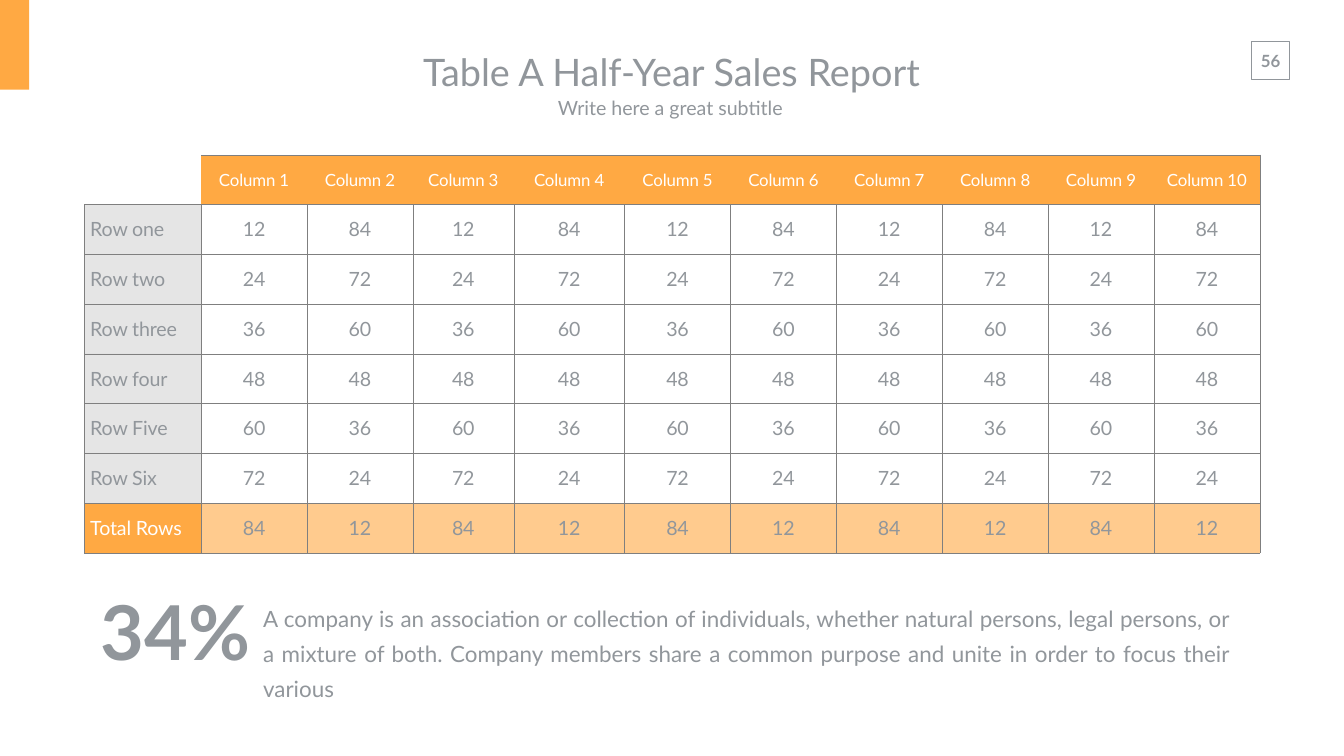
from dataclasses import dataclass

from lxml import etree
from pptx import Presentation
from pptx.dml.color import RGBColor
from pptx.enum import shapes, text
from pptx.oxml.ns import qn
from pptx.util import Emu, Pt

PX = 9144  # 100 px to the inch
FONT = "Lato"
GREY, ORANGE, PALE_ORANGE = "91969B", "FFA943", "FFCB8E"
WHITE, SHADE, GRID = "FFFFFF", "555555", "7F7F7F"
CENTER = text.PP_ALIGN.CENTER
MIDDLE = text.MSO_ANCHOR.MIDDLE


@dataclass
class Area:
    left: int
    top: int
    width: int
    height: int

    def emu(self) -> list[Emu]:
        return [Emu(n * PX) for n in (self.left, self.top, self.width, self.height)]


@dataclass
class CellStyle:
    color: str = GREY
    size: int = 28
    align: text.PP_ALIGN = CENTER
    fill: str | None = None
    alpha: int = 100
    borders: str = "LRTB"


def rgb(value: str) -> RGBColor:
    return RGBColor.from_string(value)


def add_alpha(color_element, percent: int) -> None:
    etree.SubElement(color_element, qn("a:alpha")).set("val", str(percent * 1000))


def write(frame, words: str, *, size: int, color: str = GREY, bold: bool = False,
          align=text.PP_ALIGN.LEFT, line_spacing=None, tracking: int = 0) -> None:
    para = frame.paragraphs[0]
    para.alignment = align
    if line_spacing:
        para.line_spacing = line_spacing
    span = para.add_run()
    span.text = words
    span.font.name, span.font.size, span.font.bold = FONT, Pt(size), bold
    span.font.color.rgb = rgb(color)
    if tracking:
        span.font._element.set("spc", str(tracking))


def add_text(page, area: Area, words: str, *, inset: tuple[int, int] = (10, 5),
             anchor=text.MSO_ANCHOR.TOP, wrap: bool = True, **style) -> None:
    frame = page.shapes.add_textbox(*area.emu()).text_frame
    frame.word_wrap = wrap
    frame.auto_size = text.MSO_AUTO_SIZE.SHAPE_TO_FIT_TEXT
    frame.vertical_anchor = anchor
    frame.margin_left = frame.margin_right = Emu(inset[0] * PX)
    frame.margin_top = frame.margin_bottom = Emu(inset[1] * PX)
    write(frame, words, **style)


def add_box(page, area: Area, fill: str | None = None, line: str | None = None) -> None:
    box = page.shapes.add_shape(shapes.MSO_SHAPE.RECTANGLE, *area.emu())
    box.shadow.inherit = False
    if fill:
        box.fill.solid()
        box.fill.fore_color.rgb = rgb(fill)
    else:
        box.fill.background()
    if line:
        box.line.color.rgb = rgb(line)
        box.line.width = Pt(1)
    else:
        box.line.fill.background()


def set_borders(cell, sides: str) -> None:
    properties = cell._tc.get_or_add_tcPr()
    for index, side in enumerate("LRTB"):
        line = etree.Element(qn(f"a:ln{side}"), w=str(Pt(0.5)))
        if side in sides:
            fill = etree.SubElement(line, qn("a:solidFill"))
            add_alpha(etree.SubElement(fill, qn("a:srgbClr"), val=GRID), 50)
        else:
            etree.SubElement(line, qn("a:noFill"))
        properties.insert(index, line)


def fill_cell(cell, words: str, style: CellStyle) -> None:
    cell.vertical_anchor = MIDDLE
    cell.margin_left = cell.margin_right = Emu(12 * PX)
    cell.margin_top = cell.margin_bottom = Emu(7 * PX)
    if style.fill:
        cell.fill.solid()
        cell.fill.fore_color.rgb = rgb(style.fill)
        if style.alpha < 100:
            add_alpha(cell._tc.tcPr.find(".//" + qn("a:srgbClr")), style.alpha)
    else:
        cell.fill.background()
    set_borders(cell, style.borders)
    if words:
        write(cell.text_frame, words, size=style.size, color=style.color,
              align=style.align, tracking=-20)


def cell_style(row: int, column: int, last_row: int, last_column: int) -> CellStyle:
    if row == 0:
        if column == 0:
            return CellStyle(borders="B")
        return CellStyle(WHITE, 24, fill=ORANGE,
                         borders="RTB" if column == last_column else "TB")
    if column == 0:
        if row == last_row:
            return CellStyle(WHITE, align=text.PP_ALIGN.LEFT, fill=ORANGE)
        return CellStyle(align=text.PP_ALIGN.LEFT, fill=SHADE, alpha=15)
    return CellStyle(fill=PALE_ORANGE if row == last_row else None)


def add_sales_table(page, area: Area, widths: list[int], rows: list[list[str]]) -> None:
    table = page.shapes.add_table(len(rows), len(widths), *area.emu()).table
    table.first_row = table.horz_banding = False
    for column, width in zip(table.columns, widths):
        column.width = Emu(width * PX)
    for r, values in enumerate(rows):
        table.rows[r].height = Emu(area.height * PX // len(rows))
        for c, words in enumerate(values):
            fill_cell(table.cell(r, c), words,
                      cell_style(r, c, len(rows) - 1, len(widths) - 1))


def main() -> None:
    deck = Presentation()
    deck.slide_width, deck.slide_height = Emu(2666 * PX), Emu(1500 * PX)
    page = deck.slides.add_slide(deck.slide_layouts[6])

    # Page number and corner accent
    add_text(page, Area(2480, 90, 81, 61), "56", inset=(20, 10), wrap=False,
             size=24, bold=True, align=CENTER)
    add_box(page, Area(2483, 82, 75, 75), line=GREY)
    add_box(page, Area(0, 0, 58, 178), fill=ORANGE)

    # Title and subtitle
    add_text(page, Area(576, 83, 1512, 118), "Table A Half-Year Sales Report",
             inset=(27, 13), anchor=MIDDLE, size=54, align=CENTER)
    add_text(page, Area(818, 176, 1033, 74), "Write here a great subtitle ",
             inset=(27, 13), anchor=MIDDLE, size=28, align=CENTER)

    # Key figure and its explanation
    add_text(page, Area(512, 1180, 1938, 147),
             "A company is an association or collection of individuals, whether natural "
             "persons, legal persons, or a mixture of both. Company members share a common "
             "purpose and unite in order to focus their various",
             size=32, align=text.PP_ALIGN.JUSTIFY, line_spacing=1.3)
    add_text(page, Area(190, 1156, 352, 192), "34%", size=108, bold=True)

    # Sales table: odd columns rise by 12 a row, even columns fall by 12
    names = ["Row one", "Row two", "Row three", "Row four", "Row Five", "Row Six",
             "Total Rows"]
    rows = [[""] + [f"Column {n}" for n in range(1, 11)]]
    for n, name in enumerate(names, start=1):
        rows.append([name] + [str(12 * n), str(96 - 12 * n)] * 5)
    widths = [232, 210, 210, 200, 220] + [210] * 6
    add_sales_table(page, Area(167, 307, sum(widths), 790), widths, rows)

    deck.save("out.pptx")


if __name__ == "__main__":
    main()
